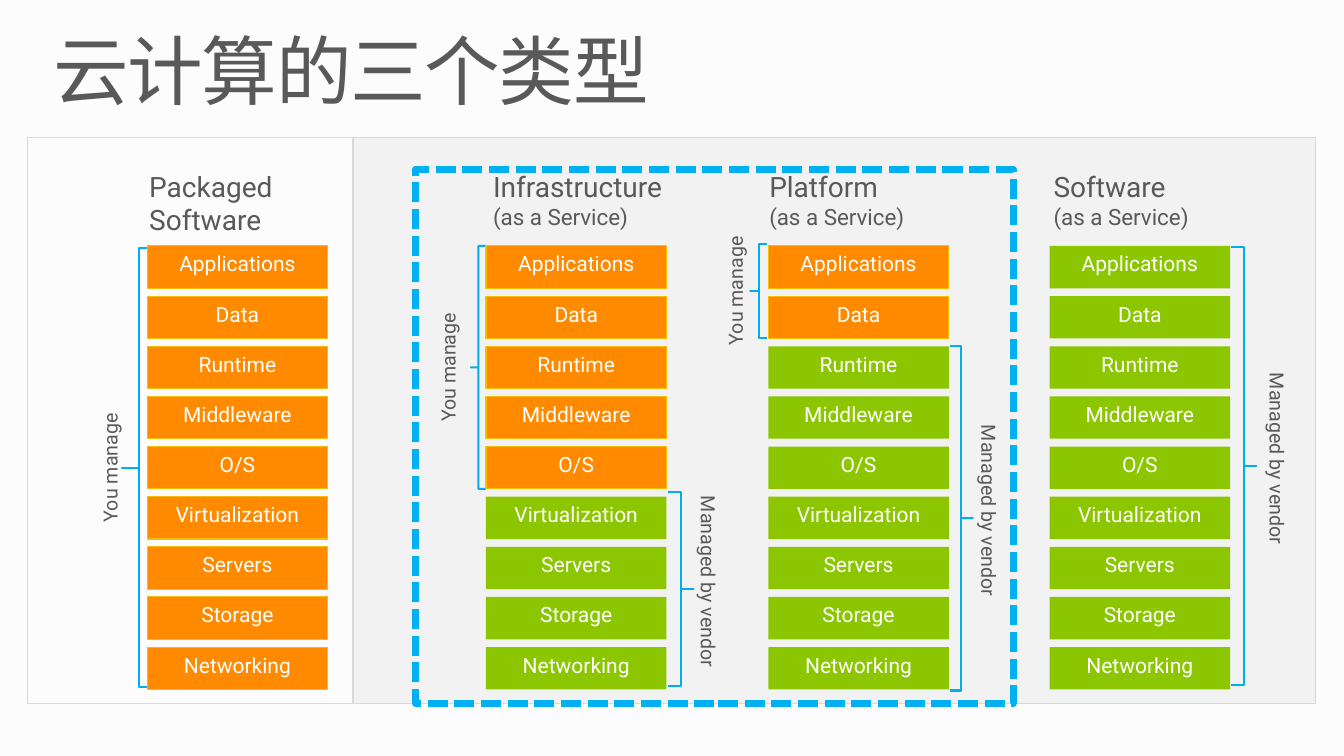
from dataclasses import dataclass

from pptx import Presentation
from pptx.dml.color import RGBColor
from pptx.enum.dml import MSO_LINE
from pptx.enum.shapes import MSO_SHAPE
from pptx.enum.text import MSO_ANCHOR, PP_ALIGN
from pptx.util import Inches, Pt

RECT, BRACE = MSO_SHAPE.RECTANGLE, MSO_SHAPE.LEFT_BRACE
DASH = MSO_LINE.SQUARE_DOT
TOP, MIDDLE = MSO_ANCHOR.TOP, MSO_ANCHOR.MIDDLE
LEFT, CENTER = PP_ALIGN.LEFT, PP_ALIGN.CENTER


@dataclass(frozen=True)
class Theme:
    """Colours, font and type sizes of the slide."""
    font: str = "Roboto"
    back: str = "FCFCFC"
    panel: str = "F2F2F2"
    edge: str = "D9D9D9"
    ink: str = "595959"
    white: str = "FFFFFF"
    yours: str = "FF8A00"
    rim: str = "F9BC00"
    vendor: str = "8CC600"
    brace: str = "00AEEF"
    frame: str = "00B0F0"
    title: int = 54
    head: int = 20
    sub: int = 16
    layer: int = 15
    label: int = 14


THEME = Theme()
LAYERS = ["Applications", "Data", "Runtime", "Middleware", "O/S",
          "Virtualization", "Servers", "Storage", "Networking"]
ROW_TOP, ROW_STEP, ROW_WIDE, ROW_HIGH = 2.44, 3.98 / 8, 1.79, 0.42
LABEL_WIDE = 0.44
SERVICE = "(as a Service)"
YOU, VENDOR = ("You manage", "vert270", 1.17), ("Managed by vendor", "eaVert", 1.85)


def write(frame, lines, size, color=THEME.ink, align=LEFT, anchor=TOP,
          inset=0.0, wrap=True, turn=None, track=None, space=None, sub=None):
    """Fill a text frame with lines in one format, later lines in size sub."""
    frame.word_wrap = wrap
    frame.vertical_anchor = anchor
    frame.margin_left = frame.margin_right = 0
    frame.margin_top = frame.margin_bottom = Inches(inset)
    if turn:
        frame._txBody.bodyPr.set("vert", turn)
    for i, line in enumerate(lines):
        para = frame.paragraphs[0] if i == 0 else frame.add_paragraph()
        para.alignment = align
        if space:
            para.line_spacing = space
        run = para.add_run()
        run.text = line
        run.font.name = THEME.font
        run.font.size = Pt(sub if i and sub else size)
        run.font.color.rgb = RGBColor.from_string(color)
        if track:
            run.font._element.set("spc", str(track))


def text(slide, box, lines, size, **style):
    """Add a text box."""
    area = slide.shapes.add_textbox(*map(Inches, box))
    write(area.text_frame, lines, size, **style)


def shape(slide, kind, box, fill=None, line=None, width=0.75):
    """Add a flat preset shape."""
    item = slide.shapes.add_shape(kind, *map(Inches, box))
    item.shadow.inherit = False
    if fill:
        item.fill.solid()
        item.fill.fore_color.rgb = RGBColor.from_string(fill)
    else:
        item.fill.background()
    if line:
        item.line.color.rgb = RGBColor.from_string(line)
        item.line.width = Pt(width)
    else:
        item.line.fill.background()
    return item


def bracket(slide, box, label, shift, flip):
    """Draw a brace and its turned label, centred on the brace."""
    left, top, wide, high = box
    item = shape(slide, BRACE, box, line=THEME.brace, width=1.5)
    item.adjustments[0] = 0
    item.adjustments[1] = 0.5
    if flip:
        item._element.spPr.xfrm.set("flipH", "1")
    words, turn, tall = label
    spot = (left + shift, top + (high - tall) / 2, LABEL_WIDE, tall)
    text(slide, spot, [words], THEME.label, align=CENTER, anchor=MIDDLE,
         wrap=False, turn=turn)


def column(slide, left, head, indent, count, braces):
    """Draw one service model whose first count layers are yours."""
    text(slide, (left + indent, 1.68, 2.04, 0.7), head, THEME.head, sub=THEME.sub)
    for label, (x, y, wide, high), shift in braces:
        bracket(slide, (left + x, y, wide, high), label, shift, label is VENDOR)
    for i, name in enumerate(LAYERS):
        fill, rim = (THEME.yours, THEME.rim) if i < count else (THEME.vendor, None)
        box = (left, ROW_TOP + i * ROW_STEP, ROW_WIDE, ROW_HIGH)
        cell = shape(slide, RECT, box, fill, rim)
        write(cell.text_frame, [name], THEME.layer, color=THEME.white,
              align=CENTER, inset=0.05)


def panels(slide):
    """Draw the two background panels."""
    shape(slide, RECT, (3.51, 1.36, 9.54, 5.62), THEME.panel, THEME.edge)
    shape(slide, RECT, (0.27, 1.36, 3.23, 5.62), line=THEME.edge)


def main():
    """Build and save the slide."""
    deck = Presentation()
    deck.slide_width, deck.slide_height = Inches(13.33), Inches(7.5)
    slide = deck.slides.add_slide(deck.slide_layouts[6])
    slide.background.fill.solid()
    slide.background.fill.fore_color.rgb = RGBColor.from_string(THEME.back)
    panels(slide)
    text(slide, (0.53, 0.33, 12.19, 0.82), ["云计算的三个类型"], THEME.title,
         anchor=MIDDLE, track=-100, space=0.9)
    column(slide, 1.46, ["Packaged Software"], 0.02, 9,
           [(YOU, (-0.25, 2.46, 0.33, 4.36), -0.34)])
    column(slide, 4.82, ["Infrastructure", SERVICE], 0.07, 5,
           [(YOU, (-0.15, 2.44, 0.15, 2.41), -0.45),
            (VENDOR, (1.81, 4.88, 0.25, 1.93), 0.18)])
    column(slide, 7.62, ["Platform", SERVICE], 0.01, 2,
           [(YOU, (-0.18, 2.42, 0.17, 0.93), -0.37),
            (VENDOR, (1.8, 3.43, 0.23, 3.42), 0.17)])
    column(slide, 10.41, ["Software", SERVICE], 0.04, 0,
           [(VENDOR, (1.8, 2.45, 0.25, 4.35), 0.24)])
    frame = shape(slide, RECT, (4.12, 1.68, 5.93, 5.3), line=THEME.frame, width=4.75)
    frame.line.dash_style = DASH
    deck.save("out.pptx")


if __name__ == "__main__":
    main()
